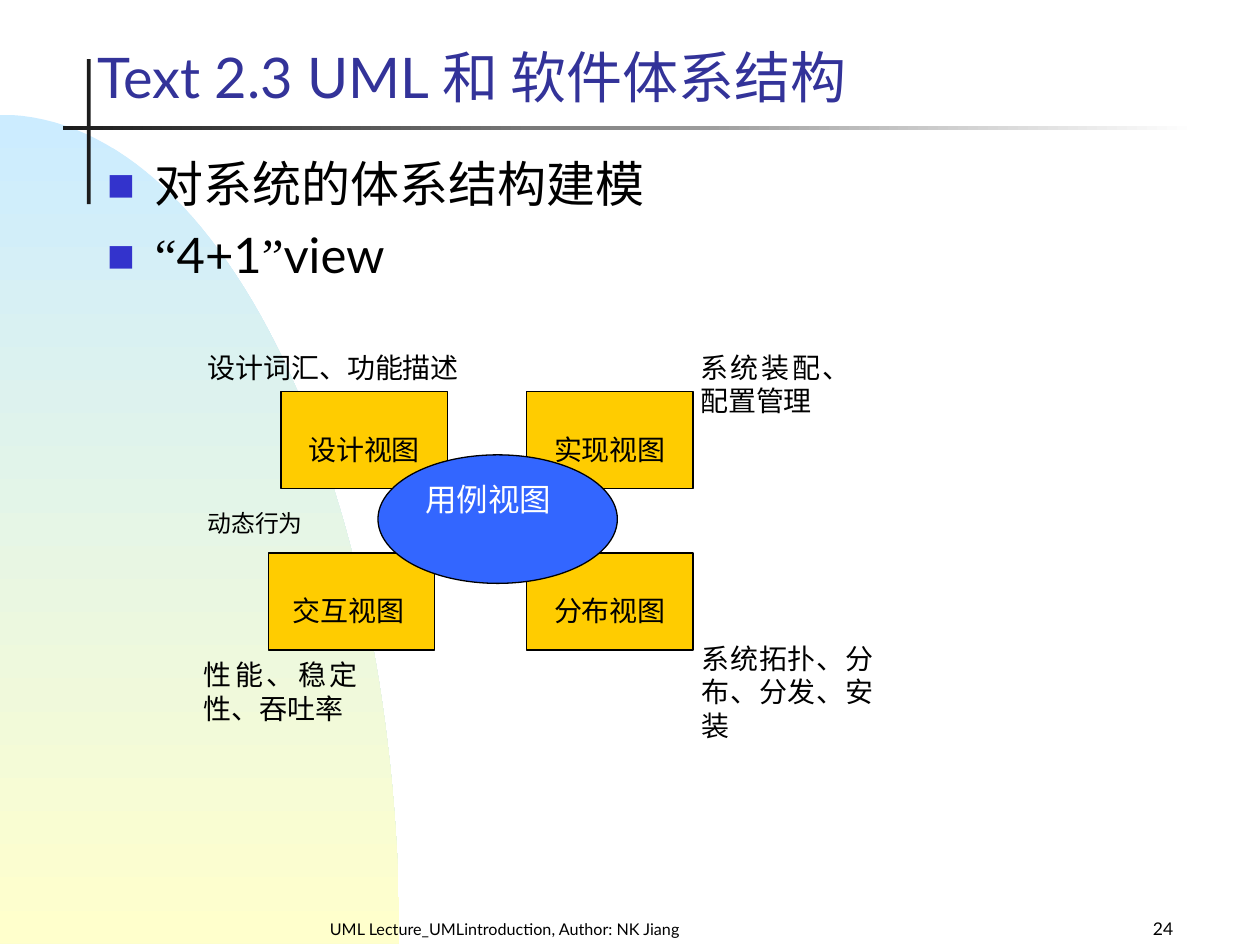
from lxml import etree
from pptx import Presentation
from pptx import util as u
from pptx.dml.color import RGBColor
from pptx.enum import shapes, text
from pptx.oxml.ns import qn

LATIN, SERIF = "Lato", "Times New Roman"
BLACK, WHITE, INK = "000000", "FFFFFF", "1C1C1C"
NAVY, BULLET, AMBER, BLUE = "333399", "3333CC", "FFCC00", "3366FF"
SKY, CREAM = "CCECFF", "FFFFCC"
LEFT, CENTER, RIGHT, JUSTIFY = (
    text.PP_ALIGN.LEFT, text.PP_ALIGN.CENTER,
    text.PP_ALIGN.RIGHT, text.PP_ALIGN.JUSTIFY)
TOP, BOTTOM = text.MSO_ANCHOR.TOP, text.MSO_ANCHOR.BOTTOM
RECT, OVAL = shapes.MSO_SHAPE.RECTANGLE, shapes.MSO_SHAPE.OVAL


def rgb(value):
    return RGBColor.from_string(value)


def curve_points(start, control1, control2, end, steps=60):
    """Points along a cubic Bezier curve."""
    for step in range(steps + 1):
        t = step / steps
        s = 1 - t
        yield tuple(s**3 * a + 3 * s**2 * t * b + 3 * s * t**2 * c + t**3 * d
                    for a, b, c, d in zip(start, control1, control2, end))


class Deck:
    """Places elements on a grid of 100 columns by 75 rows."""

    def __init__(self):
        self.prs = Presentation()
        self.prs.slide_width, self.prs.slide_height = u.Inches(10), u.Inches(7.5)
        self.cell = self.prs.slide_width // 100
        self.slide = self.prs.slides.add_slide(self.prs.slide_layouts[1])

    def grid(self, *lengths):
        return [round(length * self.cell) for length in lengths]

    def gradient(self, shape, first, last, angle):
        shape.fill.gradient()
        shape.fill.gradient_angle = angle
        for stop, color in zip(shape.fill.gradient_stops, (first, last)):
            stop.color.rgb = rgb(color)

    def sweep(self, start, control1, control2, end, colors):
        """Area to the left of a curve, filled from top to bottom."""
        points = [self.grid(*point)
                  for point in curve_points(start, control1, control2, end)]
        points.append(self.grid(start[0], end[1]))
        builder = self.slide.shapes.build_freeform(*points[0])
        builder.add_line_segments(points[1:], close=True)
        area = builder.convert_to_shape()
        area.shadow.inherit = False
        area.line.fill.background()
        self.gradient(area, *colors, 270)

    def shape(self, kind, area, fill, fade=None, outline=None):
        shape = self.slide.shapes.add_shape(kind, *self.grid(*area))
        shape.shadow.inherit = False
        if fade:
            self.gradient(shape, fill, fade, 0)
        else:
            shape.fill.solid()
            shape.fill.fore_color.rgb = rgb(fill)
        if outline:
            shape.line.color.rgb = rgb(outline)
            shape.line.width = u.Pt(0.75)
        else:
            shape.line.fill.background()
        return shape

    def frame(self, shape, anchor=TOP, top=0.5):
        frame = shape.text_frame
        frame.word_wrap = True
        frame.auto_size = text.MSO_AUTO_SIZE.NONE
        frame.vertical_anchor = anchor
        frame.margin_left = frame.margin_right = self.cell
        frame.margin_top, frame.margin_bottom = self.grid(top, 0.5)
        return frame

    def add_words(self, paragraph, words, size, color=BLACK, font=SERIF, align=JUSTIFY):
        paragraph.alignment = align
        run = paragraph.add_run()
        run.text = words
        run.font.size, run.font.name = u.Pt(size), font
        run.font.color.rgb = rgb(color)

    def view(self, kind, area, fill, words, size, color, align, top):
        shape = self.shape(kind, area, fill, outline=BLACK)
        frame = self.frame(shape, top=top)
        self.add_words(frame.paragraphs[0], words, size, color, align=align)

    def label(self, area, words, size=16, font=SERIF, align=JUSTIFY,
              anchor=TOP, spacing=1.0):
        box = self.slide.shapes.add_textbox(*self.grid(*area))
        paragraph = self.frame(box, anchor).paragraphs[0]
        paragraph.line_spacing = spacing
        self.add_words(paragraph, words, size, font=font, align=align)

    def placeholder(self, index, area, anchor):
        """Move a placeholder into place, in front of what is drawn so far."""
        holder = self.slide.placeholders[index]
        holder.left, holder.top, holder.width, holder.height = self.grid(*area)
        self.slide.shapes._spTree.append(holder._element)
        return self.frame(holder, anchor)

    def title(self, area, words):
        frame = self.placeholder(0, area, BOTTOM)
        self.add_words(frame.paragraphs[0], words, 32, NAVY, LATIN, LEFT)

    def bullets(self, area, items):
        frame = self.placeholder(1, area, TOP)
        for number, runs in enumerate(items):
            paragraph = frame.add_paragraph() if number else frame.paragraphs[0]
            paragraph.space_before = u.Pt(7 if number else 0)
            self.add_bullet(paragraph)
            for words, font in runs:
                self.add_words(paragraph, words, 28, font=font, align=LEFT)

    def add_bullet(self, paragraph):
        props = paragraph._p.get_or_add_pPr()
        indent = self.grid(3.8)[0]
        props.set("marL", str(indent))
        props.set("indent", str(-indent))
        color = etree.SubElement(props, qn("a:buClr"))
        etree.SubElement(color, qn("a:srgbClr"), val=BULLET)
        etree.SubElement(props, qn("a:buSzPct"), val="60000")
        etree.SubElement(props, qn("a:buFont"), typeface=LATIN)
        etree.SubElement(props, qn("a:buChar"), char="■")


def main():
    deck = Deck()
    deck.sweep((0, 9.1), (17.5, 9.1), (31.7, 38.6), (31.7, 74.9), (SKY, CREAM))
    deck.shape(RECT, (6.9, 4.7, 0.3, 11.5), INK)
    deck.shape(RECT, (5, 10, 90, 0.3), INK, fade=WHITE)

    deck.label((24.2, 71.7, 31.7, 3.3), "UML Lecture_UMLintroduction, Author: NK Jiang",
               9.2, LATIN, CENTER, BOTTOM)
    deck.label((73.3, 71.7, 20.8, 3.3), "24", 10, LATIN, RIGHT, BOTTOM)
    deck.title((6.7, 1.7, 70.8, 7.5), "Text 2.3 UML 和 软件体系结构")
    deck.bullets((7.5, 11.7, 88.3, 59.2), [
        [("对系统的体系结构建模", LATIN)],
        [("“", SERIF), ("4+1", LATIN), ("”", SERIF), ("view", LATIN)],
    ])

    upper, lower = 31.1, 43.9
    for left, top, name in [(22.3, upper, "设计视图"), (41.8, upper, "实现视图"),
                            (21.3, lower, "交互视图 "), (41.8, lower, "分布视图")]:
        deck.view(RECT, (left, top, 13.2, 7.7), AMBER, name, 16, BLACK, CENTER, 3.2)
    deck.view(OVAL, (30, 36.1, 19, 10.2), BLUE, "用例视图", 18, WHITE, JUSTIFY, 0.5)

    deck.label((15.5, 40.1, 10.2, 3.8), "动态行为", 13.6, spacing=0.9)
    for area, concern in [((15.5, 27.3, 22.5, 3.8), "设计词汇、功能描述"),
                          ((54.6, 27.3, 11.7, 11.8), "系统装配、配置管理"),
                          ((15.2, 51.7, 14.2, 7.1), "性能、稳定性、吞吐率"),
                          ((54.7, 50.4, 15.6, 9.1), "系统拓扑、分布、分发、安装")]:
        deck.label(area, concern)

    deck.prs.save("out.pptx")


if __name__ == "__main__":
    main()
